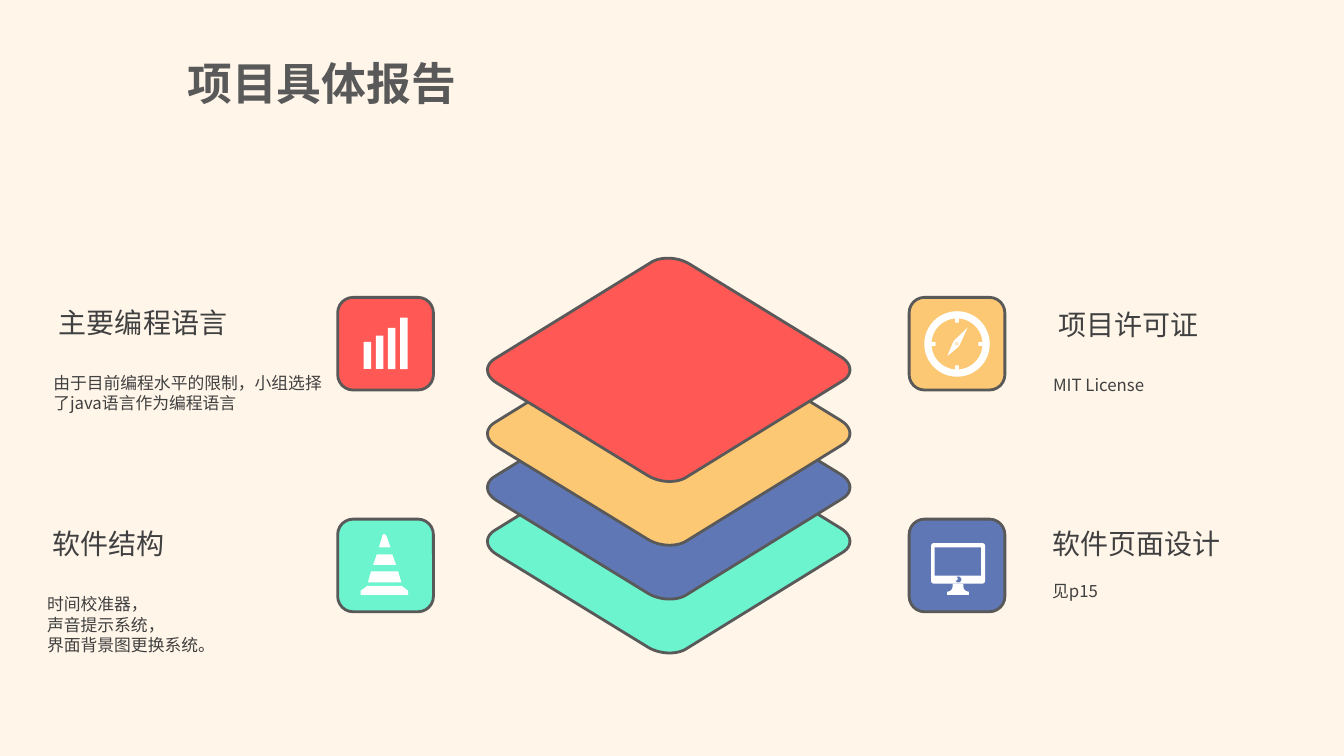
from lxml import etree
from pptx import Presentation
from pptx.dml.color import RGBColor
from pptx.enum.shapes import MSO_SHAPE
from pptx.oxml.ns import qn
from pptx.util import Pt

FONT = "Noto Sans CJK SC"
RED, YELLOW, BLUE, GREEN = "FF5855", "FDC873", "6077B6", "6BF4CD"
GREY, WHITE = "595959", "FFFFFF"


def paint(sp, fill, outlined=False):
    sp.shadow.inherit = False
    sp.fill.solid()
    sp.fill.fore_color.rgb = RGBColor.from_string(fill)
    if outlined:
        sp.line.color.rgb = RGBColor.from_string(GREY)
        sp.line.width = Pt(2)
    else:
        sp.line.fill.background()


def bezier(p0, p1, p2, p3, steps=12):
    """Points along a cubic curve, both ends included."""
    ts = [i / steps for i in range(steps + 1)]
    return [tuple((1 - t) ** 3 * a + 3 * t * (1 - t) ** 2 * b
                  + 3 * t * t * (1 - t) * c + t ** 3 * d
                  for a, b, c, d in zip(p0, p1, p2, p3)) for t in ts]


prs = Presentation()
prs.slide_width, prs.slide_height = Pt(960), Pt(540)
s = prs.slides.add_slide(prs.slide_layouts[6])
s.background.fill.solid()
s.background.fill.fore_color.rgb = RGBColor.from_string("FFF5E9")

# Stacked layers: half of the outline, turned by 180 degrees for the rest
top_corner = bezier((-13.3, -76.3), (-6.1, -81.4), (6.8, -80.6), (14.8, -75.6))
right_corner = bezier((122.8, -9.4), (131.4, -4.3), (131.4, 3.6), (124.2, 7.9))
half = top_corner + right_corner
outline = half + [(-x, -y) for x, y in half]
polygons = []
for fill, cy in [(GREEN, 386.7), (BLUE, 348.2), (YELLOW, 309.7), (RED, 264.2)]:
    polygons.append((fill, True, [(477.7 + x, cy + y) for x, y in outline]))

# Icon tiles
LEFT, RIGHT, UPPER, LOWER = 241.2, 649.4, 212.4, 370.8
shapes = [(MSO_SHAPE.ROUNDED_RECTANGLE, fill, x, y, 68.4, 66.2, None)
          for fill, x, y in [(RED, LEFT, UPPER), (YELLOW, RIGHT, UPPER),
                             (GREEN, LEFT, LOWER), (BLUE, RIGHT, LOWER)]]

# Bar icon
for i, height in enumerate([19.4, 23.8, 29.5, 36.7]):
    shapes.append((MSO_SHAPE.RECTANGLE, WHITE, 259.7 + 8.7 * i, 263.6 - height, 5.4, height, None))

# Compass dial with four ticks
shapes.append((MSO_SHAPE.DONUT, WHITE, 660.2, 222.3, 46.8, 46.8, 0.11))
for dx, dy in [(0, -1), (0, 1), (-1, 0), (1, 0)]:
    w, h = (2.8, 3.6) if dy else (3.6, 2.8)
    shapes.append((MSO_SHAPE.RECTANGLE, WHITE, 683.6 + 17 * dx - w / 2, 245.7 + 17 * dy - h / 2, w, h, None))

# Monitor
shapes += [
    (MSO_SHAPE.ROUNDED_RECTANGLE, WHITE, 665.1, 387.9, 38.6, 29, 0.07),
    (MSO_SHAPE.RECTANGLE, BLUE, 667.6, 391, 33.1, 20.1, None),
    (MSO_SHAPE.OVAL, BLUE, 682.4, 411.8, 4.3, 4.3, None),
    (MSO_SHAPE.OVAL, WHITE, 681.3, 412, 2.8, 2.8, None),
]

# Needle, monitor stand and traffic cone
stand = (bezier((680.4, 416.8), (680.6, 418.5), (680.8, 422.4), (676.6, 422.6))
         + [(676.6, 425), (692, 425), (692, 422.6)]
         + bezier((692, 422.6), (687.8, 422.4), (688, 418.5), (688.2, 416.8)))
cone_tip = bezier((272.9, 383.8), (273, 381.2), (275, 380.2), (276.5, 383.8))
symbols = [
    [(676.8, 254.2), (680.4, 245.3), (681.4, 243.4), (691.2, 234), (685.6, 246.2), (684.6, 247.8)],
    stand,
    cone_tip + [(278.9, 391), (270.6, 391)],
    [(269.1, 396), (280.2, 396), (282.9, 403.4), (266.6, 403.4)],
    [(265, 408.2), (284.4, 408.2), (286.7, 416), (262.8, 416)],
    [(262.2, 418.6), (287.2, 418.6), (291.5, 422), (291.5, 425), (257.7, 425), (257.7, 422)],
]

for kind, fill, x, y, w, h, adj in shapes:
    sp = s.shapes.add_shape(kind, Pt(x), Pt(y), Pt(w), Pt(h))
    if adj is not None:
        sp.adjustments[0] = adj
    paint(sp, fill, outlined=w == 68.4)

polygons += [(WHITE, False, points) for points in symbols]
for fill, outlined, points in polygons:
    points = [(Pt(x), Pt(y)) for x, y in points]
    fb = s.shapes.build_freeform(*points[0], scale=1)
    fb.add_line_segments(points[1:], close=True)
    paint(fb.convert_to_shape(), fill, outlined)

for fill, size in [(YELLOW, 2.2), (WHITE, 1.4)]:
    pivot = s.shapes.add_shape(MSO_SHAPE.OVAL, Pt(683.4 - size / 2), Pt(245.6 - size / 2), Pt(size), Pt(size))
    paint(pivot, fill)

# Text: left, top, width, height, heading size, heading indent, gap, lines
texts = [
    (126.7, 35.9, 230, 46, 32, 0, 0, ["项目具体报告"]),
    (31, 214.4, 211, 100, 20, 4, 24, ["主要编程语言", "由于目前编程水平的限制，小组选择", "了java语言作为编程语言"]),
    (26.6, 372.8, 180, 100, 20, 4, 24, ["软件结构", "时间校准器，", "声音提示系统，", "界面背景图更换系统。"]),
    (745.2, 215.8, 160, 80, 20, 4, 24, ["项目许可证", "MIT License"]),
    (744.5, 372.8, 160, 80, 20, 0, 14.4, ["软件页面设计", "见p15"]),
]
for x, y, w, h, size, indent, gap, lines in texts:
    tf = s.shapes.add_textbox(Pt(x), Pt(y), Pt(w), Pt(h)).text_frame
    tf.word_wrap = True
    for i, line in enumerate(lines):
        p = tf.paragraphs[0] if i == 0 else tf.add_paragraph()
        p.text = line
        if i == 0 and indent:
            p._p.get_or_add_pPr().set("marL", str(Pt(indent)))
        if i == 1:
            p.space_before = Pt(gap)
        font_size = size if i == 0 else 12
        p.line_spacing = Pt(1.2 * font_size)
        p.font.size = Pt(font_size)
        p.font.bold = size == 32
        p.font.color.rgb = RGBColor.from_string(GREY if size == 32 else "404040")
        p.font.name = FONT
        etree.SubElement(p.font._rPr, qn("a:ea")).set("typeface", FONT)

prs.save("out.pptx")
